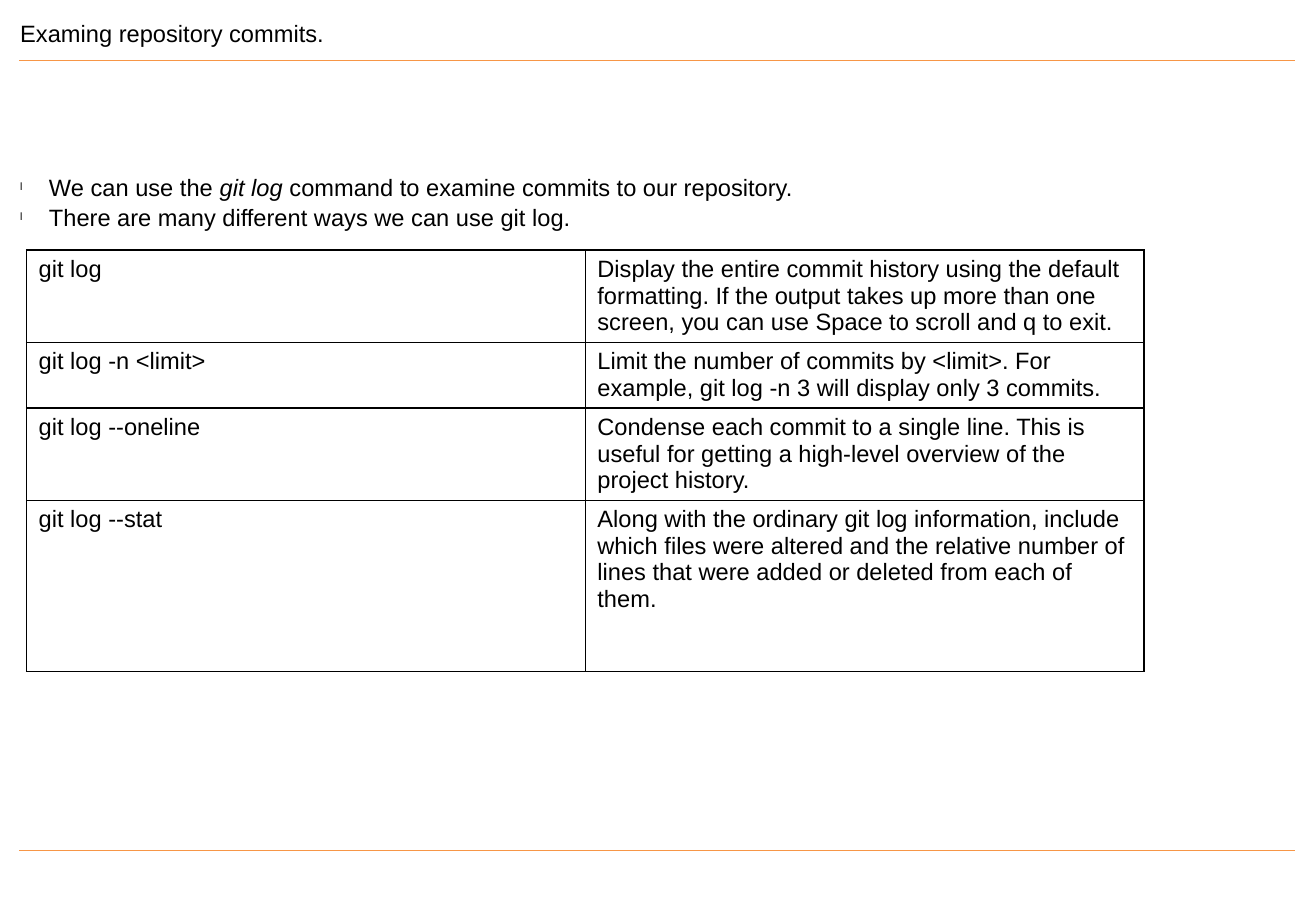
from dataclasses import dataclass

from pptx import Presentation
from pptx.dml.color import RGBColor as Rgb
from pptx.enum.text import MSO_ANCHOR as Anchor, MSO_AUTO_SIZE as Auto, PP_ALIGN as Align
from pptx.oxml import parse_xml
from pptx.oxml.ns import nsdecls
from pptx.util import Pt


@dataclass(frozen=True)
class Theme:
    font: str = "Arial"
    size: float = 14
    ink: str = "000000"
    rule: str = "F79646"
    thin: float = 0.75
    edge: float = 1


THEME = Theme()
TITLE = "Examing repository commits."
POINTS = [
    [("We can use the ", False), ("git log", True),
     (" command to examine commits to our repository.", False)],
    [("There are many different ways we can use git log.", False)],
]
ROWS = [
    (54.7, "git log",
     "Display the entire commit history using the default formatting. If the output "
     "takes up more than one screen, you can use Space to scroll and q to exit."),
    (38.9, "git log -n <limit>",
     "Limit the number of commits by <limit>. For example, git log -n 3 will display "
     "only 3 commits."),
    (54.7, "git log --oneline",
     "Condense each commit to a single line. This is useful for getting a high-level "
     "overview of the project history."),
    (101.5, "git log --stat",
     "Along with the ordinary git log information, include which files were altered and "
     "the relative number of lines that were added or deleted from each of them."),
]


def style(run, italic=False):
    font = run.font
    font.name = THEME.font
    font.size = Pt(THEME.size)
    font.italic = italic
    font.color.rgb = Rgb.from_string(THEME.ink)


def place(shape, box, anchor):
    shape.left, shape.top, shape.width, shape.height = map(Pt, box)
    frame = shape.text_frame
    frame.margin_left = frame.margin_right = frame.margin_top = frame.margin_bottom = 0
    frame.word_wrap = True
    frame.auto_size = Auto.NONE
    frame.vertical_anchor = anchor
    return frame


def add_rule(slide, box):
    left, top, width = box
    line = slide.shapes.add_connector(1, Pt(left), Pt(top), Pt(left + width), Pt(top))
    line.line.color.rgb = Rgb.from_string(THEME.rule)
    line.line.width = Pt(THEME.thin)
    line._element.spPr.append(parse_xml(f"<a:effectLst {nsdecls('a')}/>"))


def add_title(slide, box):
    frame = place(slide.shapes.title, box, Anchor.MIDDLE)
    frame.text = TITLE
    frame.paragraphs[0].alignment = Align.LEFT
    style(frame.paragraphs[0].runs[0])


def add_bullet(para):
    props = para._p.get_or_add_pPr()
    props.set("marL", str(Pt(17)))
    props.set("indent", str(-Pt(17)))
    for tag in ('buSzPct val="45000"', f'buFont typeface="{THEME.font}"', 'buChar char="l"'):
        props.append(parse_xml(f"<a:{tag} {nsdecls('a')}/>"))


def add_list(slide, box):
    frame = place(slide.placeholders[1], box, Anchor.TOP)
    for index, parts in enumerate(POINTS):
        para = frame.paragraphs[0] if index == 0 else frame.add_paragraph()
        para.alignment = Align.LEFT
        para.space_before = Pt(index)
        para.space_after = Pt(0)
        add_bullet(para)
        for text, italic in parts:
            run = para.add_run()
            run.text = text
            style(run, italic)


def add_edges(cell):
    props = cell._tc.get_or_add_tcPr()
    for index, side in enumerate(("lnL", "lnR", "lnT", "lnB")):
        props.insert(index, parse_xml(
            f'<a:{side} {nsdecls("a")} w="{Pt(THEME.edge)}"><a:solidFill>'
            f'<a:srgbClr val="{THEME.ink}"/></a:solidFill></a:{side}>'))


def add_grid(slide, box):
    left, top, width = map(Pt, box)
    high = Pt(sum(row[0] for row in ROWS))
    table = slide.shapes.add_table(len(ROWS), 2, left, top, width, high).table
    table.first_row = table.horz_banding = False
    for row, (tall, *texts) in zip(table.rows, ROWS):
        row.height = Pt(tall)
        for cell, text in zip(row.cells, texts):
            cell.text_frame.text = text
            style(cell.text_frame.paragraphs[0].runs[0])
            cell.fill.background()
            add_edges(cell)


def add_page(deck, box):
    left, top, width, high = box
    slide = deck.slides.add_slide(deck.slide_layouts[1])
    for drop in (36, 504):
        add_rule(slide, (left, top + drop, width))
    add_title(slide, (left + 0.5, top + 5, width, 29.5))
    add_list(slide, (left + 0.5, top + 102.2, width, high - 156))
    add_grid(slide, (left + 4.2, top + 148.3, 662.4))


def main():
    deck = Presentation()
    deck.slide_width, deck.slide_height = Pt(780), Pt(540)
    add_page(deck, (11.5, 0, 756, 540))
    deck.save("out.pptx")


if __name__ == "__main__":
    main()
